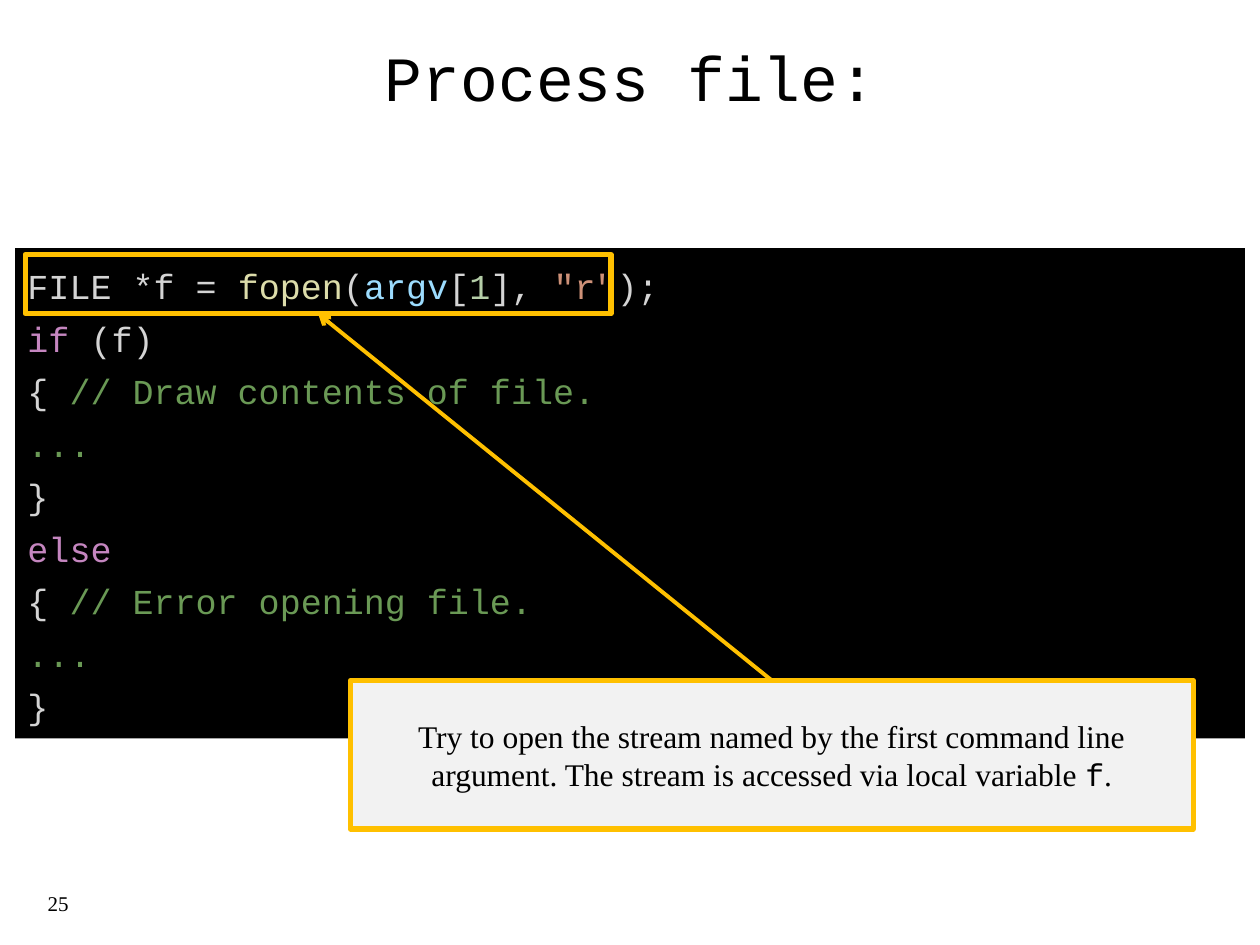
from pptx import Presentation
from pptx.dml.color import RGBColor
from pptx.enum.shapes import MSO_CONNECTOR, MSO_SHAPE
from pptx.enum.text import MSO_ANCHOR as Anchor, PP_ALIGN as Align
from pptx.oxml.ns import qn
from pptx.util import Inches, Pt
from lxml.etree import SubElement

CODE_FONT, TEXT_FONT = "Courier New", "Times New Roman"
BLACK, AMBER = "000000", "FFC000"
PLAIN, KEYWORD, COMMENT = "D4D4D4", "C586C0", "6A9955"


def rgb(color):
    return RGBColor.from_string(color)


def add_box(box, fill=None, line=None, anchor=Anchor.MIDDLE):
    """Add a rectangle; box is left, top, width, height in inches."""
    shape = slide.shapes.add_shape(MSO_SHAPE.RECTANGLE, *map(Inches, box))
    shape.shadow.inherit = False
    if fill:
        shape.fill.solid()
        shape.fill.fore_color.rgb = rgb(fill)
    else:
        shape.fill.background()
    if line:
        shape.line.color.rgb = rgb(line)
        shape.line.width = Pt(3)
    else:
        shape.line.fill.background()
    shape.text_frame.word_wrap = True
    shape.text_frame.vertical_anchor = anchor
    return shape


presentation = Presentation()
presentation.slide_width, presentation.slide_height = Inches(10), Inches(7.5)
slide = presentation.slides.add_slide(presentation.slide_layouts[6])

# Title and slide number
for text, box, font_name, size, alignment in [
    ("Process file:", (0.28, 0.06, 9.45, 1.09), CODE_FONT, 36, Align.CENTER),
    ("25", (0.28, 6.97, 7.32, 0.4), TEXT_FONT, 12, Align.LEFT),
]:
    text_frame = slide.shapes.add_textbox(*map(Inches, box)).text_frame
    text_frame.word_wrap = True
    text_frame.vertical_anchor = Anchor.MIDDLE
    paragraph = text_frame.paragraphs[0]
    paragraph.text = text
    paragraph.alignment = alignment
    paragraph.font.name = font_name
    paragraph.font.size = Pt(size)
    paragraph.font.color.rgb = rgb(BLACK)

# Code listing
code_lines = [
    [("FILE *f = ", PLAIN), ("fopen", "DCDCAA"), ("(", PLAIN), ("argv", "9CDCFE"),
     ("[", PLAIN), ("1", "B5CEA8"), ("], ", PLAIN), ('"r"', "CE9178"), (");", PLAIN)],
    [("if ", KEYWORD), ("(f)", PLAIN)],
    [("{ ", PLAIN), ("// Draw contents of file.", COMMENT)],
    [("...", COMMENT)],
    [("}", PLAIN)],
    [("else", KEYWORD)],
    [("{ ", PLAIN), ("// Error opening file.", COMMENT)],
    [("...", COMMENT)],
    [("}", PLAIN)],
]
listing = add_box((0.12, 1.97, 9.76, 3.89), fill=BLACK, anchor=Anchor.TOP).text_frame
for index, code_line in enumerate(code_lines):
    paragraph = listing.add_paragraph() if index else listing.paragraphs[0]
    paragraph.alignment = Align.LEFT
    paragraph.line_spacing = 1.25
    paragraph.font.name = CODE_FONT
    paragraph.font.size = Pt(20)
    for text, color in code_line:
        run = paragraph.add_run()
        run.text = text
        run.font.color.rgb = rgb(color)

# Highlighted call and its explanation
highlight = add_box((0.2, 2.02, 4.65, 0.47), line=AMBER)
callout = add_box((2.78, 5.4, 6.69, 1.18), fill="F2F2F2", line=AMBER)
paragraph = callout.text_frame.paragraphs[0]
paragraph.alignment = Align.CENTER
paragraph.font.size = Pt(18)
paragraph.font.color.rgb = rgb(BLACK)
for text, font_name in [
    ("Try to open the stream named by the first command line argument. "
     "The stream is accessed via local variable ", TEXT_FONT),
    ("f", CODE_FONT),
    (".", TEXT_FONT),
]:
    run = paragraph.add_run()
    run.text = text
    run.font.name = font_name

arrow = slide.shapes.add_connector(MSO_CONNECTOR.STRAIGHT, 0, 0, 0, 0)
arrow.begin_connect(callout, 0)
arrow.end_connect(highlight, 2)
arrow.line.color.rgb = rgb(AMBER)
arrow.line.width = Pt(2.25)
SubElement(arrow.line._get_or_add_ln(), qn("a:tailEnd"), type="arrow")
SubElement(arrow._element.spPr, qn("a:effectLst"))

presentation.save("out.pptx")
